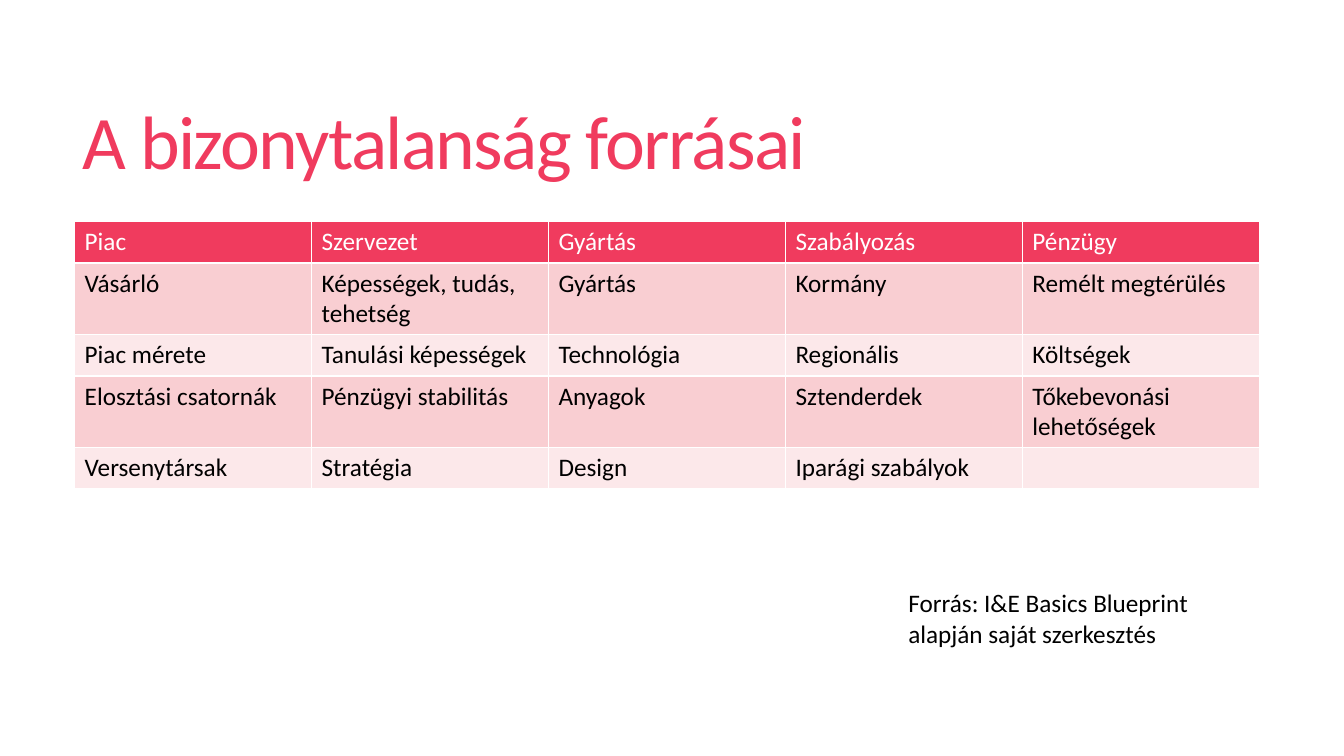
from pptx import Presentation
from pptx.dml.color import RGBColor
from pptx.enum.text import MSO_ANCHOR, MSO_AUTO_SIZE, PP_ALIGN
from pptx.util import Inches, Pt

TITLE = "A bizonytalanság forrásai"
SOURCES = [
    ("Piac", "Szervezet", "Gyártás", "Szabályozás", "Pénzügy"),
    ("Vásárló", "Képességek, tudás, tehetség", "Gyártás", "Kormány", "Remélt megtérülés"),
    ("Piac mérete", "Tanulási képességek", "Technológia", "Regionális", "Költségek"),
    ("Elosztási csatornák", "Pénzügyi stabilitás", "Anyagok", "Sztenderdek",
     "Tőkebevonási lehetőségek"),
    ("Versenytársak", "Stratégia", "Design", "Iparági szabályok", ""),
]
CREDIT = "Forrás: I&E Basics Blueprint alapján saját szerkesztés"

PINK = RGBColor(0xF0, 0x3B, 0x5E)
ROSE = RGBColor(0xF9, 0xCE, 0xD2)
PALE = RGBColor(0xFC, 0xE8, 0xEA)
WHITE = RGBColor(0xFF, 0xFF, 0xFF)
BLACK = RGBColor(0, 0, 0)

COL_W, ROW_H = 2.35, 0.41


def write(p, text, size, color):
    r = p.add_run()
    r.text = text
    font = {"name": "Calibri", "size": Pt(size), "bold": False}
    for key, value in font.items():
        setattr(r.font, key, value)
    r.font.color.rgb = color
    return r


def main():
    prs = Presentation()
    prs.slide_width, prs.slide_height = Inches(13.33), Inches(7.5)
    s = prs.slides.add_slide(prs.slide_layouts[5])

    # Title
    sp = s.shapes.title
    box = {"left": 0.72, "top": 0.55, "width": 11.78, "height": 1.81}
    for key, value in box.items():
        setattr(sp, key, Inches(value))
    tf = sp.text_frame
    tf.auto_size = MSO_AUTO_SIZE.NONE
    tf.vertical_anchor = MSO_ANCHOR.MIDDLE
    p = tf.paragraphs[0]
    p.alignment = PP_ALIGN.LEFT
    p.line_spacing = 0.85
    r = write(p, TITLE, 54, PINK)
    r.font._element.set("spc", "-120")

    # Table of sources
    n_rows, n_cols = len(SOURCES), len(SOURCES[0])
    table = s.shapes.add_table(n_rows, n_cols, Inches(0.74), Inches(2.2),
                               Inches(COL_W * n_cols), Inches(ROW_H * n_rows)).table
    for col in table.columns:
        col.width = Inches(COL_W)
    for i, row in enumerate(SOURCES):
        fill = PINK if i == 0 else (ROSE if i % 2 else PALE)
        for j, text in enumerate(row):
            cell = table.cell(i, j)
            cell.fill.solid()
            cell.fill.fore_color.rgb = fill
            if text:
                write(cell.text_frame.paragraphs[0], text, 18, BLACK if i else WHITE)

    # Credit
    tf = s.shapes.add_textbox(Inches(8.91), Inches(5.78), Inches(3.59), Inches(0.71)).text_frame
    tf.word_wrap = True
    tf.auto_size = MSO_AUTO_SIZE.SHAPE_TO_FIT_TEXT
    write(tf.paragraphs[0], CREDIT, 18, BLACK)

    prs.save("out.pptx")


if __name__ == "__main__":
    main()
